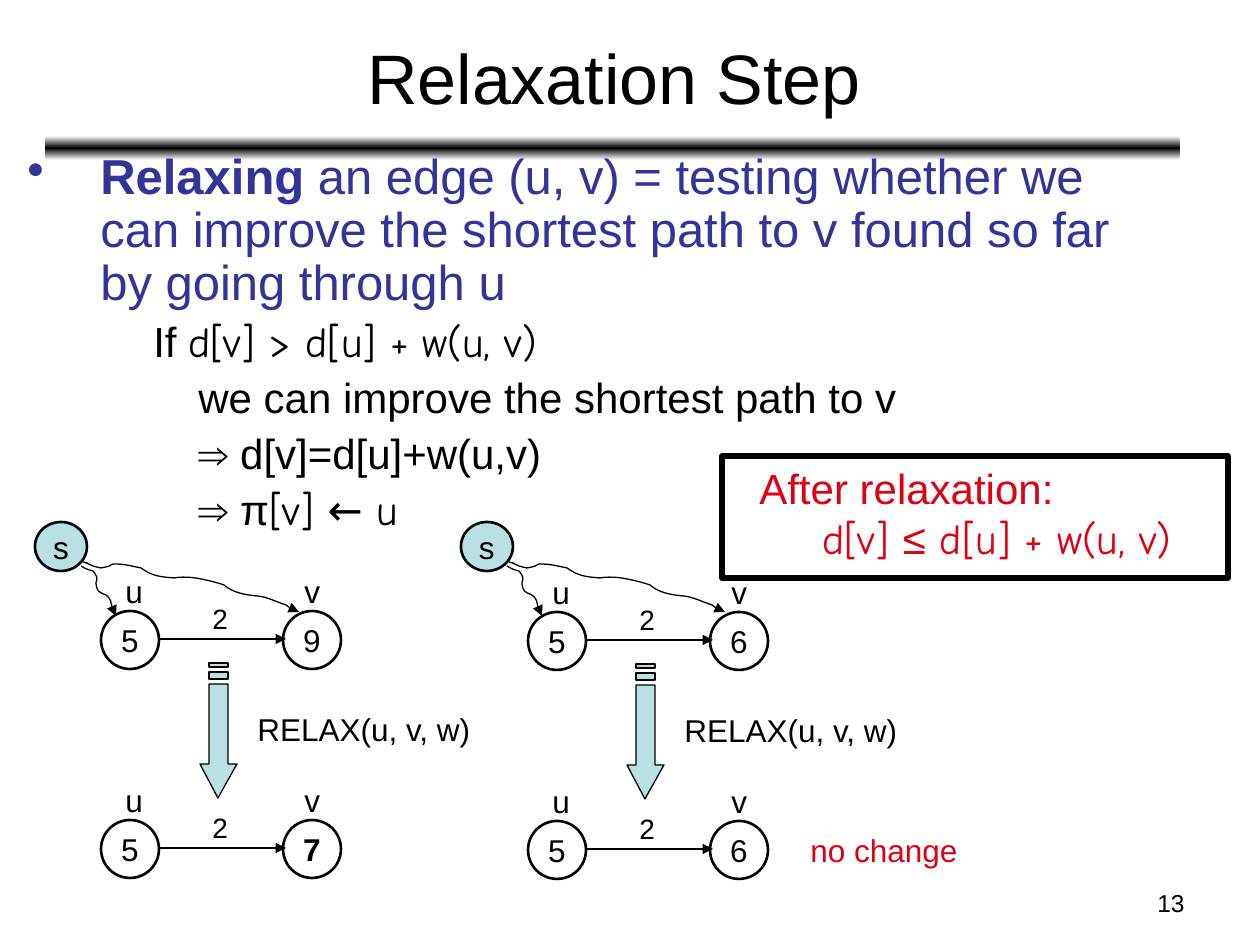
from copy import deepcopy

from pptx import Presentation
from pptx.dml.color import RGBColor
from pptx.enum.shapes import MSO_CONNECTOR, MSO_SHAPE
from pptx.enum.text import MSO_ANCHOR, PP_ALIGN
from pptx.oxml.ns import qn
from pptx.oxml.xmlchemy import OxmlElement
from pptx.util import Pt

PX = 914400 / 126
BLACK, NAVY, RED, AQUA, WHITE = "000000", "333399", "DD0111", "BBE0E3", "FFFFFF"
ARIAL, COMIC = "Arial", "Comic Neue"

TITLE = "Relaxation Step"
DEFINITION = [
    ("Relaxing ", {"bold": True}),
    ("an edge (u, v) = testing whether we can improve the shortest path to v "
     "found so far by going through u", {}),
]
STEPS = [  # left margin, spans
    (126, [("If ", {}), ("d[v] > d[u] + w(u, v)", {"font": COMIC})]),
    (171, [("we can improve the shortest path to v", {})]),
    (171, [("⇒ d[v]=d[u]+w(u,v)", {})]),
    (171, [("⇒ π", {}), ("[v] ← u", {"font": COMIC})]),
]
RESULT = [
    (0, [("After relaxation:", {})]),
    (63, [("d[v] ", {"font": COMIC}), ("≤", {}), (" d[u] + w(u, v)", {"font": COMIC})]),
]
EXAMPLES = [  # source offset, graph offset, v before, v after, v changed
    (0, (0, 0), "9", "7", True),
    (426, (427, 1), "6", "6", False),
]
ROW_STEP = 209
# Each curve is a start point followed by three Bézier points per segment
TO_U = [(81, 566), (84, 568), (88, 570), (93, 571), (97, 576), (98, 578), (96, 583),
        (97, 591), (98, 592), (106, 595), (112, 600), (110, 602), (113, 610),
        (115, 615), (115, 612), (116, 616)]
TO_V = [(83, 562), (96, 566), (77, 559), (93, 566), (96, 567), (101, 568), (101, 568),
        (111, 566), (107, 567), (113, 564), (125, 564), (131, 566), (141, 568),
        (152, 576), (160, 577), (174, 578), (186, 576), (198, 578), (210, 581),
        (215, 582), (224, 585), (224, 585), (233, 593), (246, 595), (257, 596),
        (268, 597), (276, 602), (286, 605), (289, 607), (292, 610), (295, 611),
        (296, 611), (299, 612), (299, 612)]
BLOCK_ARROW = [
    [(209, 684), (228, 684), (228, 764), (237, 764), (218, 798), (200, 764), (209, 764)],
    [(209, 672), (228, 672), (228, 679), (209, 679)],
    [(209, 663), (228, 663), (228, 667), (209, 667)],
]


def emu(*lengths):
    return [round(length * PX) for length in lengths]


def rgb(colour):
    return RGBColor.from_string(colour)


def write(para, spans, size=18, colour=BLACK, align=PP_ALIGN.LEFT, margin=0, indent=0):
    para.alignment = align
    properties = para._p.get_or_add_pPr()
    margin, indent = emu(margin, indent)
    properties.set("marL", str(margin))
    properties.set("indent", str(indent))
    for text, style in spans:
        span = para.add_run()
        span.text = text
        span.font.name = style.get("font", ARIAL)
        span.font.size = Pt(size)
        span.font.bold = style.get("bold", False)
        span.font.color.rgb = rgb(colour)


def add_text(text, area, wrap=False, **style):
    box = page.shapes.add_textbox(*emu(*area))
    box.text_frame.word_wrap = wrap
    if text:
        write(box.text_frame.paragraphs[0], [(text, {})], **style)
    return box.text_frame


def paint(shape, fill=None, line=BLACK, width=1.5):
    shape.shadow.inherit = False
    if fill:
        shape.fill.solid()
        shape.fill.fore_color.rgb = rgb(fill)
    else:
        shape.fill.background()
    shape.line.color.rgb = rgb(line)
    shape.line.width = Pt(width)


def add_arrowhead(line):
    head = OxmlElement("a:tailEnd")
    head.set("type", "triangle")
    line.line._get_or_add_ln().append(head)


def add_node(text, area, fill=None, bold=False):
    node = page.shapes.add_shape(MSO_SHAPE.OVAL, *emu(*area))
    paint(node, fill)
    node.text_frame.word_wrap = False
    node.text_frame.vertical_anchor = MSO_ANCHOR.MIDDLE
    write(node.text_frame.paragraphs[0], [(text, {"bold": bold})], align=PP_ALIGN.CENTER)


def add_edge(x1, x2, y):
    edge = page.shapes.add_connector(MSO_CONNECTOR.STRAIGHT, *emu(x1, y, x2, y))
    edge.line.color.rgb = rgb(BLACK)
    edge.line.width = Pt(1.5)
    add_arrowhead(edge)
    edge._element.spPr.append(OxmlElement("a:effectLst"))


def add_graph(x, y, value, bold=False):
    """Draw u -> v, with x, y the corner of node u."""
    add_node("5", (x, y, 58, 58))
    add_node(value, (x + 182, y, 58, 58), bold=bold)
    add_edge(x + 58, x + 185, y + 28)
    add_text("2", (x + 99, y - 16, 40, 47), size=16)
    add_text("u", (x + 12, y - 45, 43, 50))
    add_text("v", (x + 191, y - 45, 40, 50))


def add_outline(contours, dx, dy, close):
    moved = [[(x + dx, y + dy) for x, y in contour] for contour in contours]
    builder = page.shapes.build_freeform(*moved[0][0], scale=PX)
    for number, (start, *rest) in enumerate(moved):
        if number:
            builder.move_to(*start)
        builder.add_line_segments(rest, close=close)
    return builder.convert_to_shape()


def add_curve(points, dx):
    curve = add_outline([points], dx, 0, close=False)
    outline = next(curve._element.iter(qn("a:path")))
    segments = outline.findall(qn("a:lnTo"))
    for first in range(0, len(segments), 3):
        bezier = OxmlElement("a:cubicBezTo")
        for segment in segments[first:first + 3]:
            bezier.append(segment[0])
            outline.remove(segment)
        outline.append(bezier)
    paint(curve, width=0.75)
    add_arrowhead(curve)


def add_title_bar():
    bar = page.shapes.add_shape(MSO_SHAPE.ROUNDED_RECTANGLE, *emu(45, 136, 1135, 24))
    bar.shadow.inherit = False
    bar.line.fill.background()
    bar.fill.gradient()
    bar.fill.gradient_angle = 90
    stops = next(bar._element.iter(qn("a:gsLst")))
    stops.append(deepcopy(stops[0]))
    for stop, colour, place in zip(bar.fill.gradient_stops, (WHITE, BLACK, WHITE), (0, 0.5, 1)):
        stop.color.rgb = rgb(colour)
        stop.position = place


def add_body():
    frame = add_text("", (15, 146, 1134, 402), wrap=True)
    para = frame.paragraphs[0]
    write(para, DEFINITION, size=28, colour=NAVY, margin=73, indent=-73)
    para.line_spacing, para.space_before = 0.9, Pt(7)
    bullet_colour = OxmlElement("a:buClr")
    swatch = OxmlElement("a:srgbClr")
    swatch.set("val", NAVY)
    bullet_colour.append(swatch)
    bullet = OxmlElement("a:buChar")
    bullet.set("char", "•")
    para._p.pPr.extend([bullet_colour, bullet])
    for margin, spans in STEPS:
        para = frame.add_paragraph()
        write(para, spans, size=24, margin=margin)
        para.line_spacing, para.space_before = 0.9, Pt(6)


def add_result():
    frame = add_text("", (747, 456, 468, 113), wrap=True)
    for number, (margin, spans) in enumerate(RESULT):
        para = frame.add_paragraph() if number else frame.paragraphs[0]
        write(para, spans, size=24, colour=RED, margin=margin)
    border = page.shapes.add_shape(MSO_SHAPE.RECTANGLE, *emu(722, 456, 506, 122))
    paint(border, width=3)


deck = Presentation()
deck.slide_width, deck.slide_height = emu(1260, 945)
page = deck.slides.add_slide(deck.slide_layouts[5])
add_title_bar()
title = page.shapes.title
title.left, title.top, title.width, title.height = emu(47, 14, 1134, 125)
title.text_frame.vertical_anchor = MSO_ANCHOR.MIDDLE
write(title.text_frame.paragraphs[0], [(TITLE, {})], size=40, align=PP_ALIGN.CENTER)
add_body()
for source_dx, (dx, dy), before, after, changed in EXAMPLES:
    add_graph(101 + dx, 611 + dy, before)
    add_graph(101 + dx, 611 + ROW_STEP + dy, after, bold=changed)
    paint(add_outline(BLOCK_ARROW, dx, dy, close=True), AQUA, width=0.75)
    add_text("RELAX(u, v, w)", (245 + dx, 704 + dy, 241, 50))
    add_node("s", (35 + source_dx, 522, 52, 49), fill=AQUA)
    add_curve(TO_U, source_dx)
    add_curve(TO_V, source_dx)
add_result()
add_text("no change", (798, 825, 173, 50), colour=RED)
add_text("13", (903, 882, 294, 44), wrap=True, size=14, align=PP_ALIGN.RIGHT)
deck.save("out.pptx")
